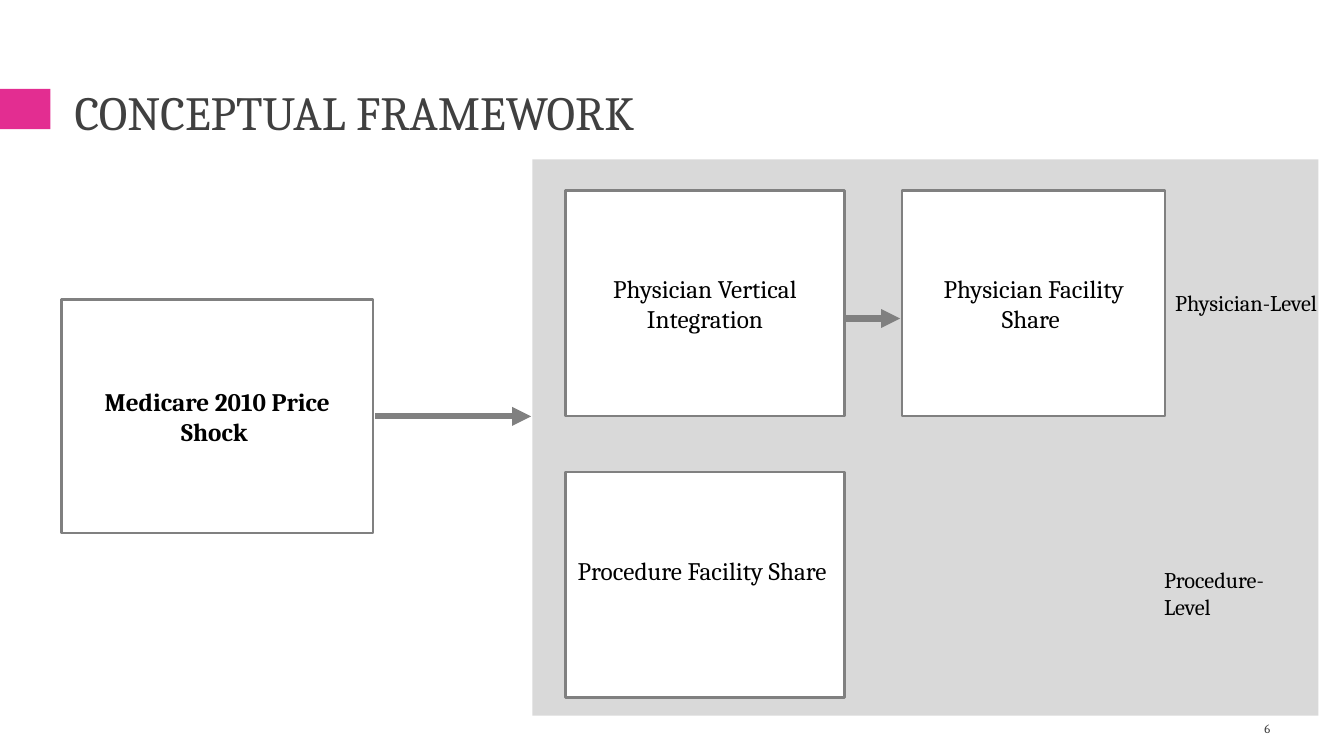
import pptx
import pptx.util
import pptx.dml.color
import pptx.enum.shapes
import pptx.enum.text
import pptx.oxml.ns
import lxml.etree
from dataclasses import dataclass

Pt = pptx.util.Pt
RGB = pptx.dml.color.RGBColor.from_string
ALIGN = pptx.enum.text.PP_ALIGN
ANCHOR = pptx.enum.text.MSO_ANCHOR


@dataclass
class Theme:
    font: str = "Cambria"
    pink: str = "E32D91"
    panel: str = "D9D9D9"
    white: str = "FFFFFF"
    line: str = "808080"
    black: str = "000000"
    gray: str = "404040"
    title: float = 34
    box: float = 18
    label: float = 16
    number: float = 9


theme = Theme()

# Content
TITLE = "CONCEPTUAL FRAMEWORK"
SHOCK = "Medicare 2010 Price Shock "
# text, column, row, space kept free below the text
OUTCOMES = [
    ("Physician Vertical Integration", 0, 0, 0),
    ("Procedure Facility Share ", 0, 1, 21),
    ("Physician Facility Share ", 1, 0, 0),
]
LEVELS = [
    ("Physician-Level", (832.3, 203, 123.8, 26.6)),
    ("Procedure-Level", (824.4, 401, 117.4, 26.6)),
]
NUMBER = "6"

# Layout: left, top, width, height
ACCENT_AT = (0, 63.5, 36, 28.8)
TITLE_AT = (46.1, 55.4, 868.3, 58.3)
SHOCK_AT = (43.9, 213.8, 222.5, 167)
PANEL_AT = (380.2, 113.8, 561.6, 397.4)
NUMBER_AT = (831.6, 506.2, 82.8, 28.8)
COLUMNS = [(403.9, 199.4), (644.4, 187.9)]
ROWS = [136.1, 337]
ROW_HEIGHT = 161.3
ARROWS = [(267.8, 379.4, 297.4), (604.1, 643, 227.5)]  # from x, to x, y


def write(sp, text, size, color, align=ALIGN.LEFT, anchor=ANCHOR.TOP, bold=False):
    tf = sp.text_frame
    tf.text = text
    tf.word_wrap = True
    tf.vertical_anchor = anchor
    p = tf.paragraphs[0]
    p.alignment = align
    font = p.runs[0].font
    font.name, font.size, font.bold = theme.font, Pt(size), bold
    font.color.rgb = RGB(color)


def rect(shapes, at, fill=None, line=None):
    sp = shapes.add_shape(pptx.enum.shapes.MSO_SHAPE.RECTANGLE, *map(Pt, at))
    sp.shadow.inherit = False
    if fill:
        sp.fill.solid()
        sp.fill.fore_color.rgb = RGB(fill)
    else:
        sp.fill.background()
    if line:
        sp.line.color.rgb = RGB(theme.line)
        sp.line.width = Pt(line)
    else:
        sp.line.fill.background()
    return sp


def arrow(shapes, x1, x2, y):
    c = shapes.add_connector(pptx.enum.shapes.MSO_CONNECTOR.STRAIGHT,
                             Pt(x1), Pt(y), Pt(x2), Pt(y))
    c.line.color.rgb = RGB(theme.line)
    c.line.width = Pt(4.5)
    qn = pptx.oxml.ns.qn
    lxml.etree.SubElement(c.line._get_or_add_ln(), qn("a:tailEnd"), type="triangle")
    lxml.etree.SubElement(c._element.spPr, qn("a:effectLst"))


prs = pptx.Presentation()
prs.slide_width, prs.slide_height = Pt(960), Pt(540)
s = prs.slides.add_slide(prs.slide_layouts[5])

# Title and accent
rect(s.shapes, ACCENT_AT, theme.pink)
title = s.shapes.title
title.left, title.top, title.width, title.height = map(Pt, TITLE_AT)
write(title, TITLE, theme.title, theme.gray)

# Price shock
shock = rect(s.shapes, SHOCK_AT, line=2)
write(shock, SHOCK, theme.box, theme.black, ALIGN.CENTER, ANCHOR.MIDDLE, bold=True)

# Outcome panel
panel = s.shapes.add_group_shape().shapes
rect(panel, PANEL_AT, theme.panel)
for text, column, row, below in OUTCOMES:
    left, width = COLUMNS[column]
    sp = rect(panel, (left, ROWS[row], width, ROW_HEIGHT), theme.white, 1.75)
    write(sp, text, theme.box, theme.black, ALIGN.CENTER, ANCHOR.MIDDLE)
    sp.text_frame.margin_bottom = Pt(3.6 + below)
for text, at in LEVELS:
    write(panel.add_textbox(*map(Pt, at)), text, theme.label, theme.black)

# Arrows
for ends in ARROWS:
    arrow(s.shapes, *ends)

# Slide number
write(s.shapes.add_textbox(*map(Pt, NUMBER_AT)), NUMBER, theme.number, theme.gray,
      ALIGN.RIGHT, ANCHOR.MIDDLE)

prs.save("out.pptx")
